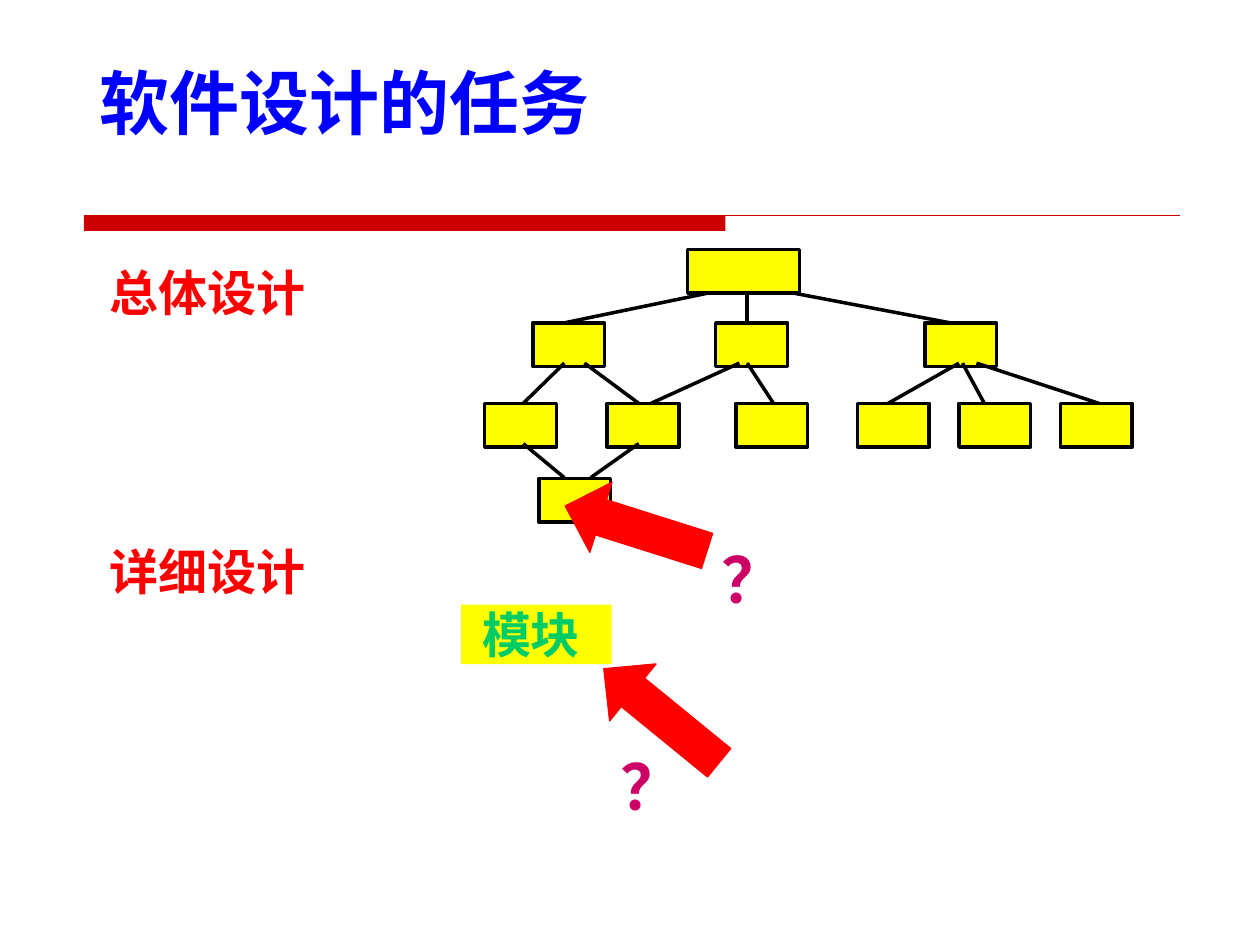
from lxml.etree import SubElement as Sub
from pptx import Presentation
from pptx.dml.color import RGBColor as RGB
from pptx.enum.shapes import MSO_CONNECTOR as Conn, MSO_SHAPE as Geo
from pptx.enum.text import MSO_ANCHOR as Anchor, PP_ALIGN as Align
from pptx.oxml.ns import qn
from pptx.util import Pt

RED = RGB(0xFF, 0, 0)
CRIMSON = RGB(0xCC, 0, 0)
BLUE = RGB(0, 0, 0xFF)
YELLOW = RGB(0xFF, 0xFF, 0)
GREEN = RGB(0, 0xCC, 0x66)
PINK = RGB(0xCC, 0, 0x66)
BLACK = RGB(0, 0, 0)


class Board:
    """Draws the styled elements of one slide, with lengths in points."""

    face = "Cambria"
    node_h = 25
    node_w = 41

    def __init__(self, slide):
        self.shapes = slide.shapes

    def shape(self, geo, x, y, w, h, fill, line=None, weight=0.75):
        item = self.shapes.add_shape(geo, Pt(x), Pt(y), Pt(w), Pt(h))
        item.shadow.inherit = False
        item.fill.solid()
        item.fill.fore_color.rgb = fill
        if line is None:
            item.line.fill.background()
        else:
            item.line.color.rgb = line
            item.line.width = Pt(weight)
        return item

    def node(self, x, y, w=node_w):
        self.shape(Geo.RECTANGLE, x, y, w, self.node_h, YELLOW, BLACK, 2)

    def line(self, x1, y1, x2, y2, color=BLACK, weight=2):
        item = self.shapes.add_connector(Conn.STRAIGHT, Pt(x1), Pt(y1), Pt(x2), Pt(y2))
        item.line.color.rgb = color
        item.line.width = Pt(weight)
        Sub(item._element.spPr, qn("a:effectLst"))

    def arrow(self, x, y, angle):
        item = self.shape(Geo.LEFT_ARROW, x, y, 85, 42, RED, RED)
        item.adjustments[1] = 0.51
        item.rotation = angle

    def text(self, words, x, y, w, h, size, color, face=face, wrap=True):
        box = self.shapes.add_textbox(Pt(x), Pt(y), Pt(w), Pt(h))
        self.style(box.text_frame, words, size, color, face, wrap=wrap)

    def label(self, words, x, y, w, h, left):
        item = self.shape(Geo.RECTANGLE, x, y, w, h, YELLOW)
        self.style(item.text_frame, words, 28, GREEN, left=left)

    def style(self, frame, words, size, color, face=face, left=0, wrap=True):
        frame.word_wrap = wrap
        frame.margin_left = Pt(left)
        frame.margin_right = frame.margin_top = frame.margin_bottom = 0
        frame.vertical_anchor = Anchor.MIDDLE
        para = frame.paragraphs[0]
        para.text = words
        para.alignment = Align.LEFT
        font = para.font
        font.name, font.size, font.bold = face, Pt(size), True
        font.color.rgb = color


def main():
    deck = Presentation()
    deck.slide_width, deck.slide_height = Pt(720), Pt(540)
    board = Board(deck.slides.add_slide(deck.slide_layouts[6]))

    board.line(48, 123, 674.5, 123, CRIMSON, 0.75)
    board.shape(Geo.RECTANGLE, 48, 123, 366.5, 9, CRIMSON)
    board.text("软件设计的任务", 57, 28, 620, 60, 40, BLUE, "Noto Sans CJK SC")

    board.node(393, 142.5, 64)
    rows = {
        184.5: (304.5, 409, 528.5),
        230.5: (277, 347, 420.5, 490, 548, 606),
        273.5: (308,),
    }
    for y, lefts in rows.items():
        for x in lefts:
            board.node(x, y)

    links = {
        (167.5, 184.5): ((453.5, 543), (404.5, 322.5), (427, 427)),
        (207.5, 230.5): (
            (322.5, 299), (334, 365), (422.5, 372), (427, 442),
            (548, 507.5), (550, 562.5), (558, 628),
        ),
        (253.5, 273): ((365, 337.5), (299, 322.5)),
    }
    for (top, foot), pairs in links.items():
        for start, end in pairs:
            board.line(start, top, end, foot)

    for words, y in (("总体设计", 150), ("详细设计", 309)):
        board.text(words, 62.5, y, 152.5, 34, 28, RED)
    board.label("模块", 263.5, 345.5, 86, 34, 12)

    for x, y, angle in ((321, 281, 17.6), (335.5, 388, 39.2)):
        board.arrow(x, y, angle)
    for x, y in ((412.5, 309), (354.5, 427)):
        board.text("？", x, y, 36, 43, 36, PINK, wrap=False)

    deck.save("out.pptx")


if __name__ == "__main__":
    main()
